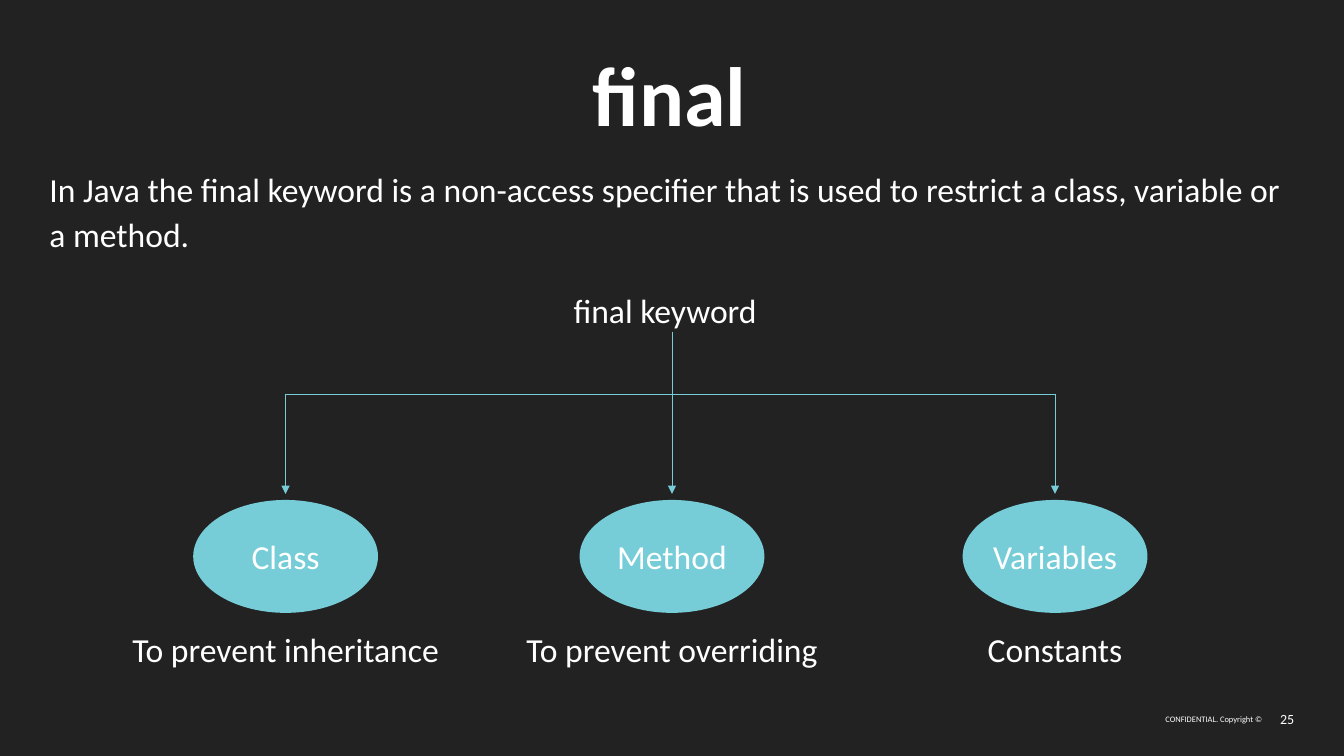
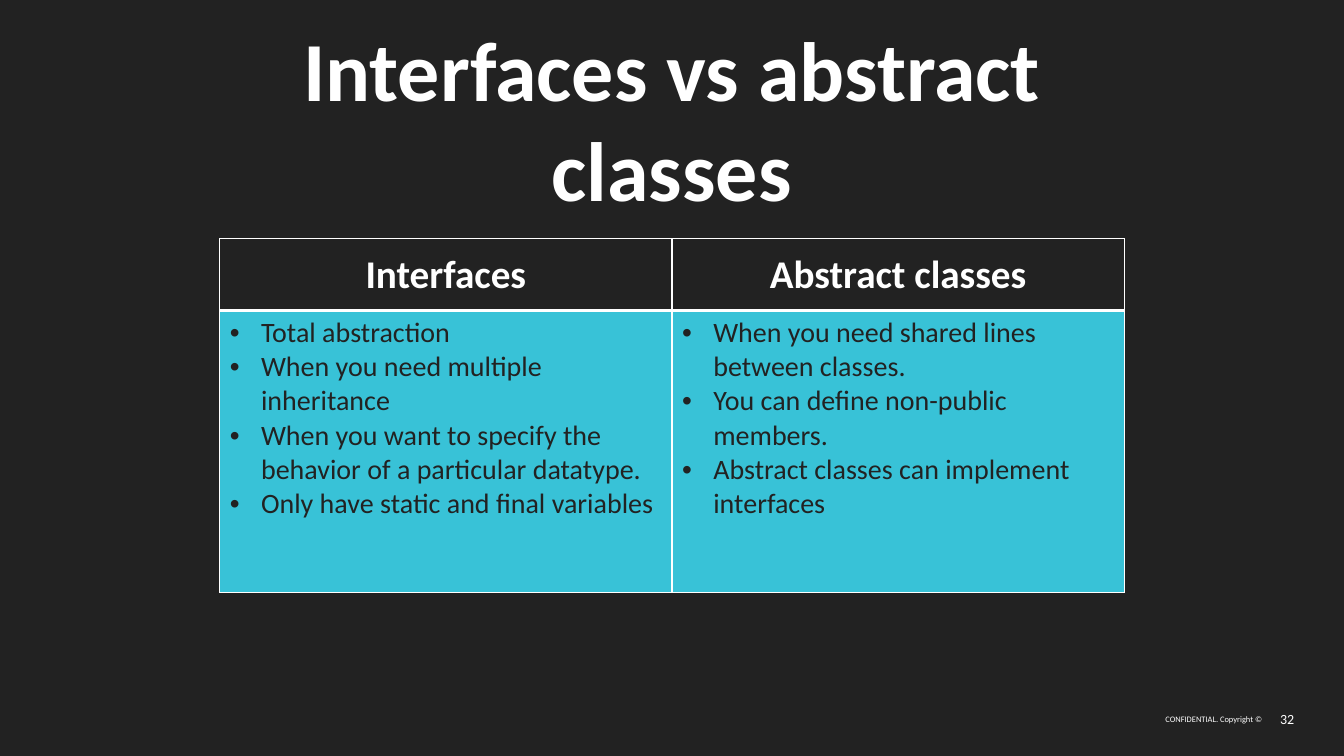
from lxml import etree
from pptx import Presentation, util as u
from pptx.dml.color import RGBColor
from pptx.enum import shapes, text
from pptx.oxml import ns

COLORS = {
    "background": "222222",
    "text": "FFFFFF",
    "diagram": "76CDD8",
    "cell": "38C2D7",
}
FONT = "Calibri"
LEFT, CENTER, RIGHT = text.PP_ALIGN.LEFT, text.PP_ALIGN.CENTER, text.PP_ALIGN.RIGHT
TOP, MIDDLE = text.MSO_ANCHOR.TOP, text.MSO_ANCHOR.MIDDLE

presentation = Presentation()
presentation.slide_width = u.Inches(40 / 3)
presentation.slide_height = u.Inches(7.5)
COLUMN = presentation.slide_width / 40
ROW = presentation.slide_height / 30


def area(left, top, width, height):
    return [int(size) for size in (left * COLUMN, top * ROW, width * COLUMN, height * ROW)]


def write(frame, lines, size, align=LEFT, anchor=TOP, color="text", bold=False, inset=0):
    frame.word_wrap = True
    frame.vertical_anchor = anchor
    if inset is not None:
        frame.margin_left = frame.margin_right = inset
        frame.margin_top = frame.margin_bottom = inset
    for index, line in enumerate(lines):
        paragraph = frame.add_paragraph() if index else frame.paragraphs[0]
        paragraph.alignment = align
        run = paragraph.add_run()
        run.text = line
        run.font.name = FONT
        run.font.size = u.Pt(size)
        run.font.bold = bold
        run.font.color.rgb = RGBColor.from_string(COLORS[color])
    return frame.paragraphs


pages = [
    ("final", (17.64, 1.68, 4.74, 4.12), LEFT, "25"),
    ("Interfaces vs abstract classes", (5.37, 0.68, 29.25, 4.04), CENTER, "32"),
]
slides = []
for title, title_area, align, number in pages:
    slide = presentation.slides.add_slide(presentation.slide_layouts[6])
    slide.background.fill.solid()
    slide.background.fill.fore_color.rgb = RGBColor.from_string(COLORS["background"])
    footer = slide.shapes.add_textbox(*area(34.47, 28.04, 3.09, 0.96))
    write(footer.text_frame, ["CONFIDENTIAL. Copyright ©"], 6, RIGHT, MIDDLE)
    page_number = slide.shapes.add_textbox(*area(37.71, 28.04, 0.81, 0.96))
    write(page_number.text_frame, [number], 10, RIGHT, MIDDLE)
    title_box = slide.shapes.add_textbox(*area(*title_area))
    write(title_box.text_frame, [title], 60, align, bold=True)
    slides.append(slide)

keyword_slide, comparison_slide = slides

definition = keyword_slide.shapes.add_textbox(*area(1.47, 6.56, 37.02, 3.96))
sentence = (
    "In Java the final keyword is a non-access specifier that is used to restrict "
    "a class, variable or a method."
)
for paragraph in write(definition.text_frame, [sentence], 24):
    paragraph.line_spacing = 1.1
    paragraph.space_before = u.Pt(6)
root = keyword_slide.shapes.add_textbox(*area(17.07, 11.52, 5.88, 1.6))
write(root.text_frame, ["final keyword"], 24)

branches = [
    (8.5, "Class", "To prevent inheritance"),
    (20, "Method", "To prevent overriding"),
    (31.4, "Variables", "Constants"),
]
trunk, trunk_top, bar, arrow_end = 20, 13.16, 15.64, 19.6
segments = [
    (trunk, trunk_top, trunk, bar, False),
    (branches[0][0], bar, branches[-1][0], bar, False),
]
segments += [(center, bar, center, arrow_end, True) for center, _, _ in branches]
for left, top, right, bottom, arrow in segments:
    connector = keyword_slide.shapes.add_connector(
        shapes.MSO_CONNECTOR.STRAIGHT, *area(left, top, right, bottom)
    )
    connector.line.width = u.Pt(0.5)
    connector.line.color.rgb = RGBColor.from_string(COLORS["diagram"])
    if arrow:
        etree.SubElement(connector.line._get_or_add_ln(), ns.qn("a:tailEnd"), type="triangle")
    etree.SubElement(connector._element.spPr, ns.qn("a:effectLst"))

for center, target, purpose in branches:
    ellipse = keyword_slide.shapes.add_shape(
        shapes.MSO_SHAPE.OVAL, *area(center - 2.75, 19.84, 5.5, 4.48)
    )
    ellipse.shadow.inherit = False
    ellipse.fill.solid()
    ellipse.fill.fore_color.rgb = RGBColor.from_string(COLORS["diagram"])
    ellipse.line.fill.background()
    write(ellipse.text_frame, [target], 24, CENTER, MIDDLE)
    caption = keyword_slide.shapes.add_textbox(*area(center - 5, 24.96, 10, 1.6))
    write(caption.text_frame, [purpose], 24, CENTER)

comparison = [
    (
        "Interfaces",
        [
            "Total abstraction",
            "When you need multiple inheritance",
            "When you want to specify the behavior of a particular datatype.",
            "Only have static and final variables",
        ],
    ),
    (
        "Abstract classes",
        [
            "When you need shared lines between classes.",
            "You can define non-public members.",
            "Abstract classes can implement interfaces",
        ],
    ),
]
table = comparison_slide.shapes.add_table(2, 2, *area(6.54, 9.48, 26.92, 14.04)).table
table.first_row = table.horz_banding = False
for row, height in zip(table.rows, (2.84, 11.2)):
    row.height = int(height * ROW)

for column, (heading, points) in enumerate(comparison):
    header, body = table.cell(0, column), table.cell(1, column)
    for cell, fill, thick_side in ((header, "background", "B"), (body, "cell", "T")):
        properties = cell._tc.get_or_add_tcPr()
        for side in "LRTB":
            width = u.Pt(3 if side == thick_side else 1)
            border = etree.SubElement(properties, ns.qn(f"a:ln{side}"), w=str(int(width)))
            solid = etree.SubElement(border, ns.qn("a:solidFill"))
            etree.SubElement(solid, ns.qn("a:srgbClr"), val=COLORS["text"])
        cell.fill.solid()
        cell.fill.fore_color.rgb = RGBColor.from_string(COLORS[fill])
    write(header.text_frame, [heading], 28, CENTER, bold=True, inset=None)
    header.vertical_anchor = MIDDLE
    for paragraph in write(body.text_frame, points, 20, color="background", inset=None):
        properties = paragraph._p.get_or_add_pPr()
        indent = int(u.Inches(0.31))
        properties.set("marL", str(indent))
        properties.set("indent", str(-indent))
        etree.SubElement(properties, ns.qn("a:buFont"), typeface="Arial")
        etree.SubElement(properties, ns.qn("a:buChar"), char="•")

presentation.save("out.pptx")
